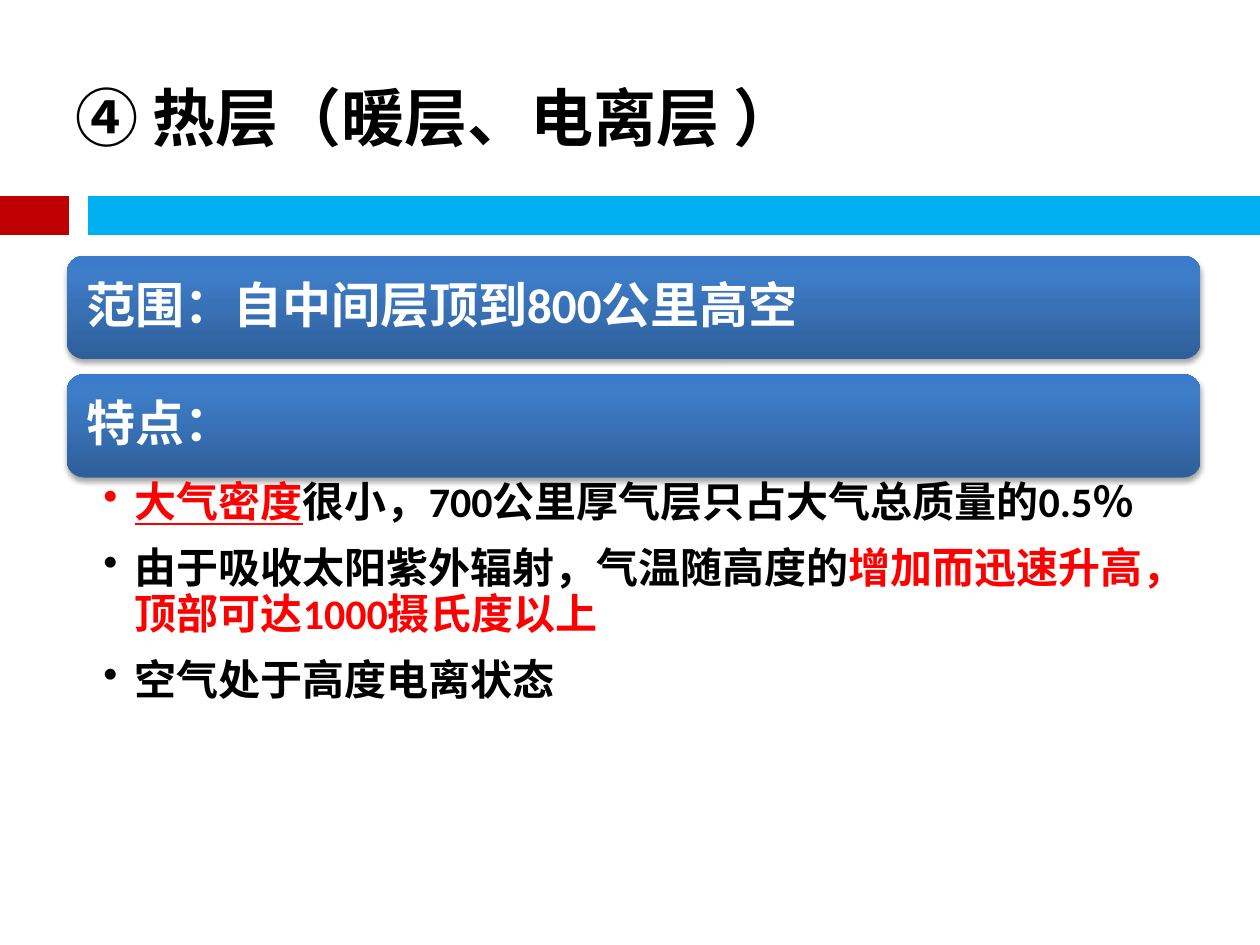
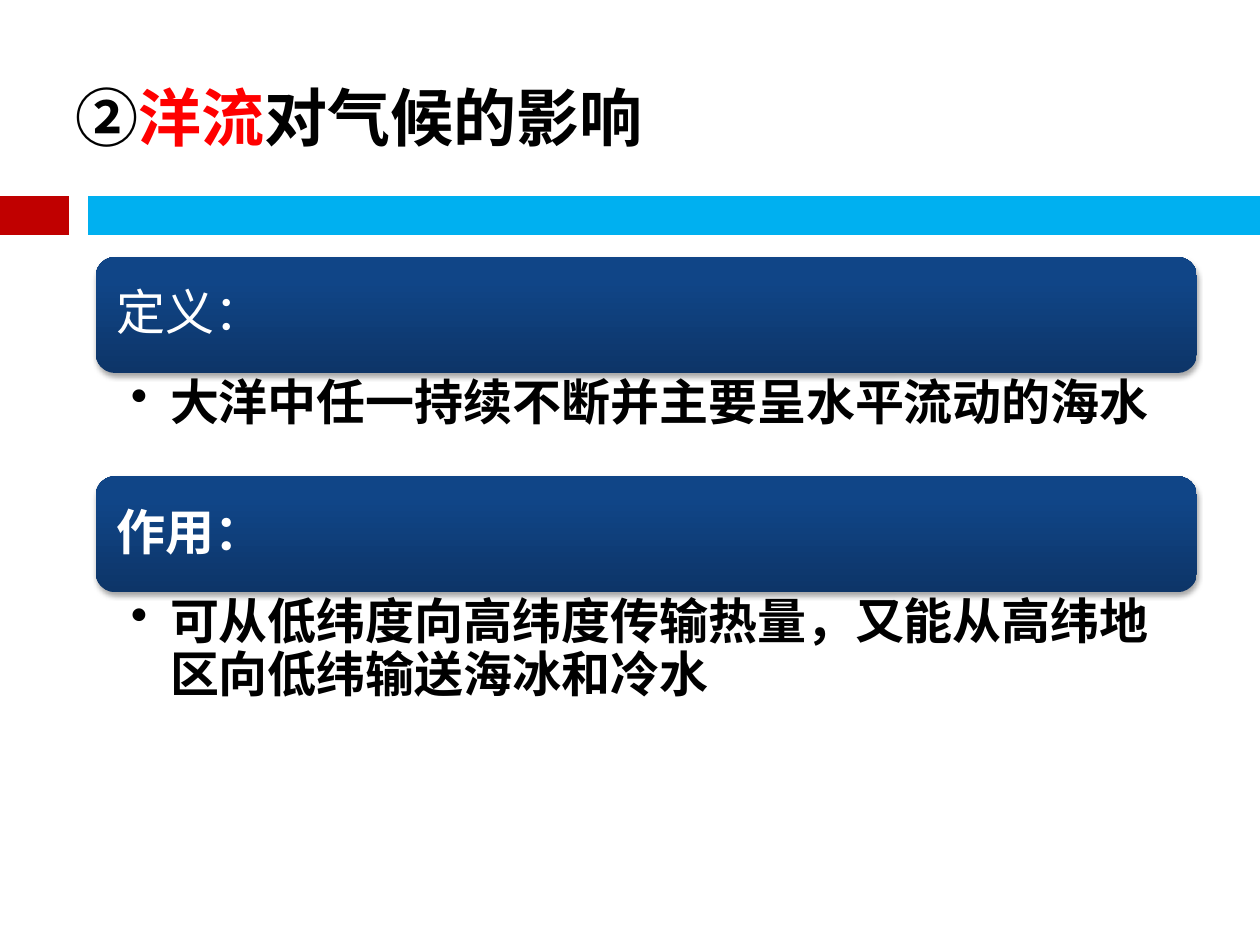
import copy
from dataclasses import dataclass

import pptx
import pptx.dml.color
import pptx.enum.shapes
import pptx.enum.text
import pptx.oxml
import pptx.oxml.ns
import pptx.util
from pptx.util import Inches

BLACK, WHITE, RED = "000000", "FFFFFF", "FF0000"
BAND_RED, BAND_BLUE = "C00000", "00B0F0"
LATIN_FONT, CHINESE_FONT = "Calibri", "Noto Sans CJK SC"
BAND_TOP = 1.71
HEADING_SIZE = 28
GRADIENT_POSITIONS = (0, 0.8, 1)


@dataclass(frozen=True)
class Words:
    text: str
    color: str = BLACK
    bold: bool = True
    underline: bool = False


@dataclass(frozen=True)
class Theme:
    left: float
    width: float
    heading_height: float
    gradient: tuple[str, str, str]
    bullet_size: int
    bullet_indent: float
    bullet_gap: float
    bullet_insets: tuple[float, float, float, float]


@dataclass(frozen=True)
class Section:
    top: float
    heading: Words
    bullets: tuple[tuple[Words, ...], ...] = ()
    bullets_height: float = 0


@dataclass(frozen=True)
class Lesson:
    title: tuple[Words, ...]
    theme: Theme
    sections: tuple[Section, ...]


THERMOSPHERE_THEME = Theme(
    0.53, 9, 0.82, ("2F5F99", "3D7CC7", "3A7CCB"), 24, 0.25, 12, (0.29, 0.03, 0.19, 0.03))
CURRENTS_THEME = Theme(
    0.76, 8.74, 0.92, ("0D3568", "104587", "0E458A"), 28, 0.31, 5.6, (0.28, 0.04, 0.22, 0.04))

LESSONS = (
    Lesson(
        (Words("④ 热层（暖层、电离层 ）"),),
        THERMOSPHERE_THEME,
        (
            Section(2.03, Words("范围：自中间层顶到800公里高空", WHITE)),
            Section(2.97, Words("特点：", WHITE), (
                (Words("大气密度", RED, underline=True),
                 Words("很小，700公里厚气层只占大气总质量的0.5％")),
                (Words("由于吸收太阳紫外辐射，气温随高度的"),
                 Words("增加而迅速升高，顶部可达1000摄氏度以上", RED)),
                (Words("空气处于高度电离状态"),),
            ), 1.99),
        ),
    ),
    Lesson(
        (Words("②"), Words("洋流", RED), Words("对气候的影响")),
        CURRENTS_THEME,
        (
            Section(2.04, Words("定义：", WHITE, bold=False), (
                (Words("大洋中任一持续不断并主要呈水平流动的海水"),),
            ), 0.81),
            Section(3.78, Words("作用：", WHITE), (
                (Words("可从低纬度向高纬度传输热量，又能从高纬地区向低纬输送海冰和冷水"),),
            ), 0.99),
        ),
    ),
)


def rgb(color: str) -> pptx.dml.color.RGBColor:
    return pptx.dml.color.RGBColor.from_string(color)


def add_child(parent, tag: str, **attributes: str):
    child = parent.makeelement(pptx.oxml.ns.qn(tag), attributes)
    parent.append(child)
    return child


def write(paragraph, words: tuple[Words, ...], size: float, font: str = LATIN_FONT) -> None:
    paragraph.alignment = pptx.enum.text.PP_ALIGN.LEFT
    for part in words:
        run = paragraph.add_run()
        run.text = part.text
        run.font.size = pptx.util.Pt(size)
        run.font.bold = part.bold
        run.font.underline = part.underline
        run.font.color.rgb = rgb(part.color)
        run.font.name = font
        add_child(run.font._element, "a:ea", typeface=CHINESE_FONT)


def set_frame(frame, insets: tuple[float, float, float, float], anchor) -> None:
    frame.word_wrap = True
    frame.vertical_anchor = anchor
    frame.margin_left, frame.margin_top, frame.margin_right, frame.margin_bottom = map(Inches, insets)


def draw_band(slide, start: float, end: float, color: str) -> None:
    band = slide.shapes.add_connector(
        pptx.enum.shapes.MSO_CONNECTOR.STRAIGHT,
        Inches(start), Inches(BAND_TOP), Inches(end), Inches(BAND_TOP))
    band.line.color.rgb = rgb(color)
    band.line.width = pptx.util.Pt(22)
    add_child(band._element.spPr, "a:effectLst")


def draw_title(slide, title: tuple[Words, ...]) -> None:
    frame = slide.shapes.add_textbox(Inches(0.5), Inches(0.3), Inches(9), Inches(1.25)).text_frame
    set_frame(frame, (0.1, 0.05, 0.1, 0.05), pptx.enum.text.MSO_ANCHOR.MIDDLE)
    write(frame.paragraphs[0], title, 36, CHINESE_FONT)


def fill_gradient(panel, colors: tuple[str, str, str]) -> None:
    panel.fill.gradient()
    panel.fill.gradient_angle = 90
    stop_list = panel._element.spPr.find(".//" + pptx.oxml.ns.qn("a:gsLst"))
    stop_list.append(copy.deepcopy(stop_list[-1]))
    for stop, position, color in zip(panel.fill.gradient_stops, GRADIENT_POSITIONS, colors):
        stop.position = position
        stop.color.rgb = rgb(color)


def cast_shadow(panel) -> None:
    panel.shadow.inherit = False
    effects = panel._element.spPr.find(pptx.oxml.ns.qn("a:effectLst"))
    shadow = add_child(effects, "a:outerShdw", blurRad="40000", dist="23000",
                       dir="5400000", rotWithShape="0")
    add_child(add_child(shadow, "a:srgbClr", val=BLACK), "a:alpha", val="35000")


def draw_heading(slide, section: Section, theme: Theme) -> None:
    panel = slide.shapes.add_shape(
        pptx.enum.shapes.MSO_SHAPE.ROUNDED_RECTANGLE,
        Inches(theme.left), Inches(section.top), Inches(theme.width), Inches(theme.heading_height))
    fill_gradient(panel, theme.gradient)
    panel.line.fill.background()
    cast_shadow(panel)
    set_frame(panel.text_frame, (0.12,) * 4, pptx.enum.text.MSO_ANCHOR.MIDDLE)
    paragraph = panel.text_frame.paragraphs[0]
    paragraph.line_spacing = 0.9
    write(paragraph, (section.heading,), HEADING_SIZE)


def draw_bullets(slide, section: Section, theme: Theme) -> None:
    frame = slide.shapes.add_textbox(
        Inches(theme.left), Inches(section.top + theme.heading_height),
        Inches(theme.width), Inches(section.bullets_height)).text_frame
    set_frame(frame, theme.bullet_insets, pptx.enum.text.MSO_ANCHOR.TOP)
    for index, words in enumerate(section.bullets):
        paragraph = frame.add_paragraph() if index else frame.paragraphs[0]
        paragraph.level = 1
        properties = paragraph._p.get_or_add_pPr()
        properties.set("marL", str(Inches(theme.bullet_indent)))
        properties.set("indent", str(-Inches(theme.bullet_indent)))
        add_child(properties, "a:buChar", char="•")
        paragraph.line_spacing = 0.9
        paragraph.space_after = pptx.util.Pt(theme.bullet_gap)
        write(paragraph, words, theme.bullet_size)


def draw_lesson(slide, lesson: Lesson) -> None:
    draw_band(slide, 0, 0.55, BAND_RED)
    draw_band(slide, 0.7, 10, BAND_BLUE)
    draw_title(slide, lesson.title)
    for section in lesson.sections:
        draw_heading(slide, section, lesson.theme)
        if section.bullets:
            draw_bullets(slide, section, lesson.theme)


def main() -> None:
    deck = pptx.Presentation()
    deck.slide_width, deck.slide_height = Inches(10), Inches(7.5)
    for lesson in LESSONS:
        draw_lesson(deck.slides.add_slide(deck.slide_layouts[6]), lesson)
    deck.save("out.pptx")


if __name__ == "__main__":
    main()
